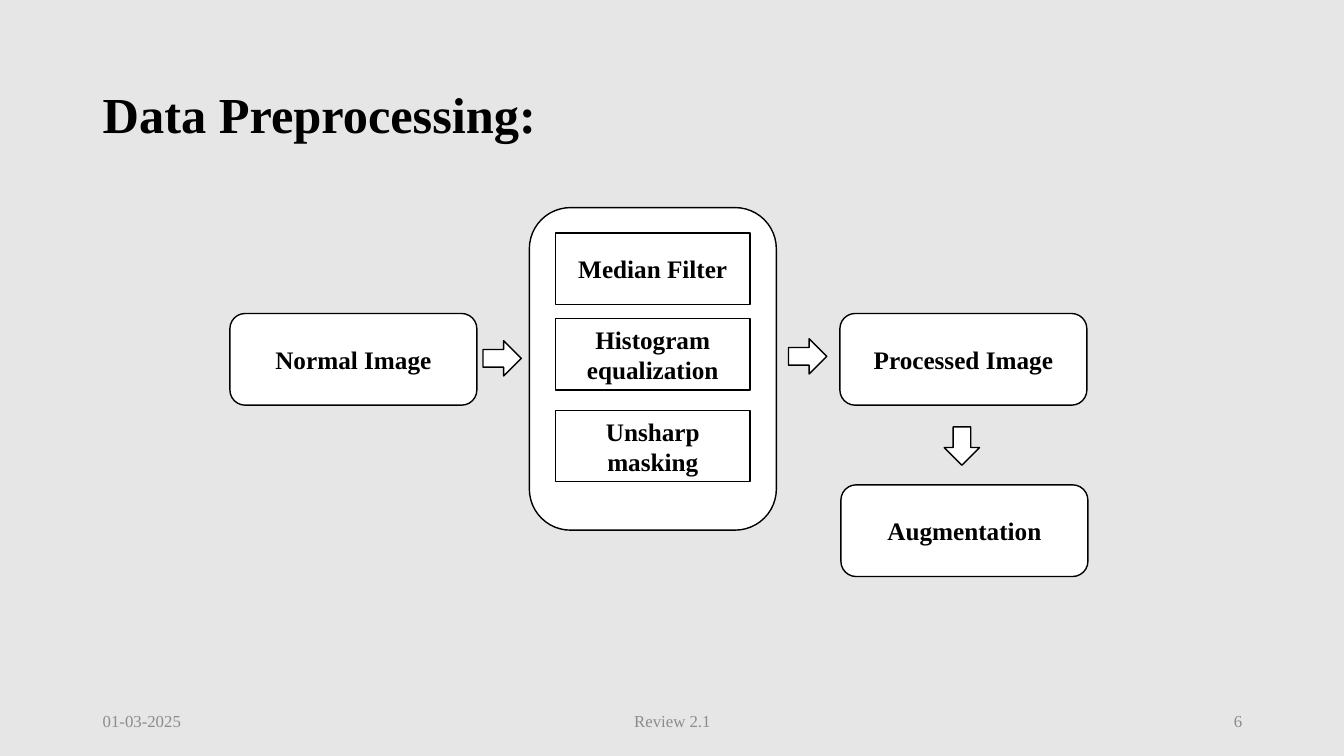
from pptx import Presentation
from pptx.dml.color import RGBColor
from pptx.enum.shapes import MSO_SHAPE
from pptx.enum.text import MSO_ANCHOR, PP_ALIGN
from pptx.util import Inches, Pt

ROUNDED = MSO_SHAPE.ROUNDED_RECTANGLE
RECTANGLE = MSO_SHAPE.RECTANGLE
ARROW = MSO_SHAPE.RIGHT_ARROW
MIDDLE = MSO_ANCHOR.MIDDLE
LEFT, CENTER, RIGHT = PP_ALIGN.LEFT, PP_ALIGN.CENTER, PP_ALIGN.RIGHT
FONT = "Times New Roman"
BLACK, WHITE, GRAY, BACKGROUND = "000000", "FFFFFF", "8C8C8C", "E7E6E6"


def color(value):
    return RGBColor.from_string(value)


def write(shape, text, size, text_color, bold, alignment):
    text_frame = shape.text_frame
    text_frame.text = text
    text_frame.word_wrap = True
    text_frame.vertical_anchor = MIDDLE
    paragraph = text_frame.paragraphs[0]
    paragraph.alignment = alignment
    font = paragraph.runs[0].font
    font.name = FONT
    font.size = Pt(size)
    font.bold = bold
    font.color.rgb = color(text_color)


def add_label(slide, text, left, top, width, height, size,
              text_color, bold=False, alignment=LEFT):
    box = slide.shapes.add_textbox(
        Inches(left), Inches(top), Inches(width), Inches(height))
    write(box, text, size, text_color, bold, alignment)


def add_block(slide, kind, left, top, width, height, text=""):
    shape = slide.shapes.add_shape(
        kind, Inches(left), Inches(top), Inches(width), Inches(height))
    shape.shadow.inherit = False
    shape.fill.solid()
    shape.fill.fore_color.rgb = color(WHITE)
    shape.line.color.rgb = color(BLACK)
    shape.line.width = Pt(1)
    if text:
        write(shape, text, 18, BLACK, True, CENTER)
    return shape


def add_arrow(slide, left, top, rotation=0):
    arrow = add_block(slide, ARROW, left, top, 0.38, 0.35)
    arrow.rotation = rotation


def main():
    presentation = Presentation()
    presentation.slide_width = Inches(13.33)
    presentation.slide_height = Inches(7.5)
    slide = presentation.slides.add_slide(presentation.slide_layouts[6])
    slide.background.fill.solid()
    slide.background.fill.fore_color.rgb = color(BACKGROUND)

    add_label(slide, "Data Preprocessing:", 0.92, 0.4, 11.5, 1.45, 36, BLACK, True)

    add_block(slide, ROUNDED, 5.25, 2.06, 2.45, 3.2)
    for text, top in (("Median Filter", 2.31),
                      ("Histogram equalization", 3.16),
                      ("Unsharp masking", 4.07)):
        add_block(slide, RECTANGLE, 5.51, top, 1.93, 0.71, text)

    for text, left, top in (("Normal Image", 2.28, 3.11),
                            ("Processed Image", 8.33, 3.11),
                            ("Augmentation", 8.34, 4.81)):
        add_block(slide, ROUNDED, left, top, 2.45, 0.91, text)

    add_arrow(slide, 4.79, 3.38)
    add_arrow(slide, 7.82, 3.36)
    add_arrow(slide, 9.35, 4.25, 90)

    for text, left, width, alignment in (("01-03-2025", 0.92, 3, LEFT),
                                         ("Review 2.1", 4.42, 4.5, CENTER),
                                         ("6", 9.42, 3, RIGHT)):
        add_label(slide, text, left, 6.95, width, 0.4, 12, GRAY, alignment=alignment)

    presentation.save("out.pptx")


if __name__ == "__main__":
    main()
